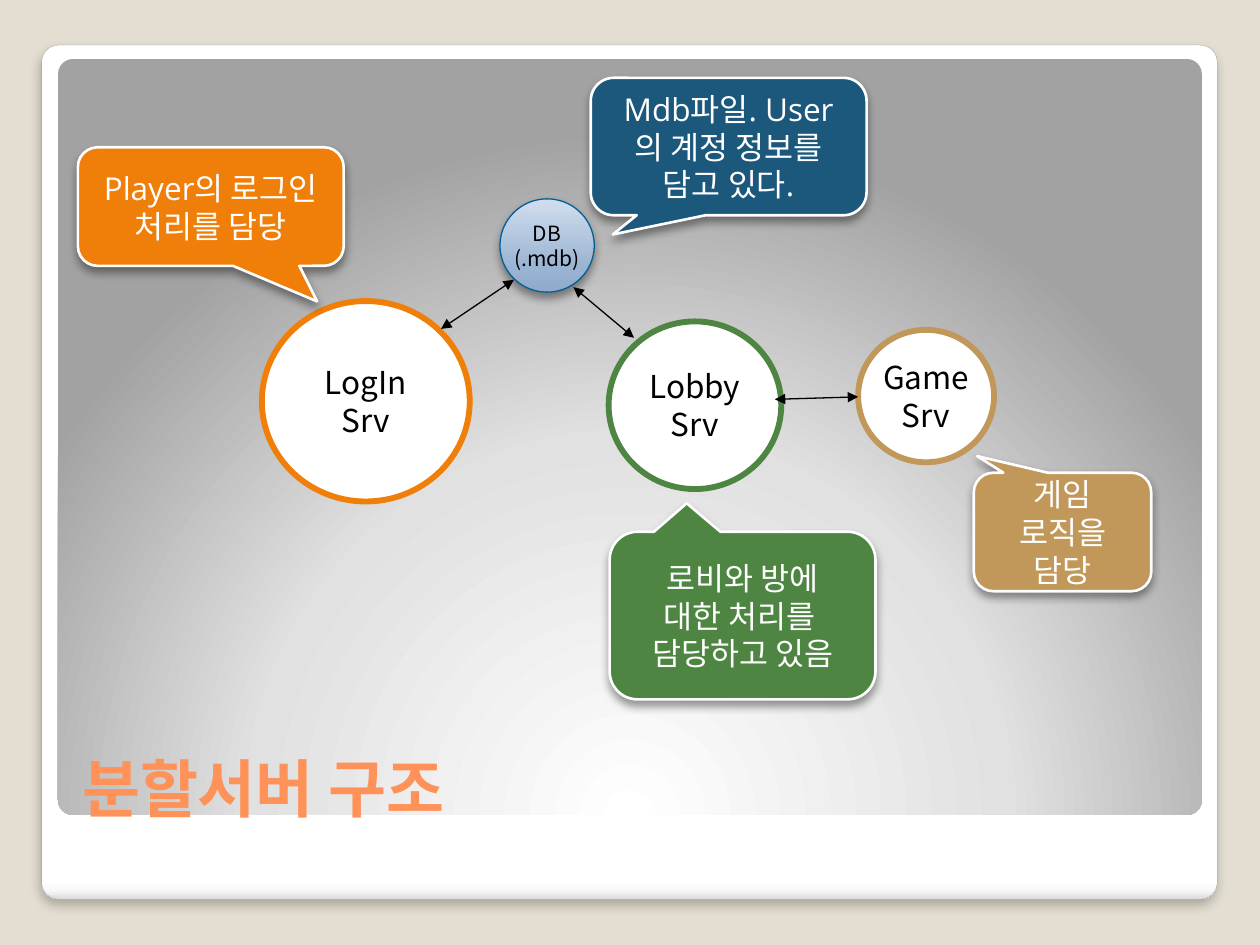
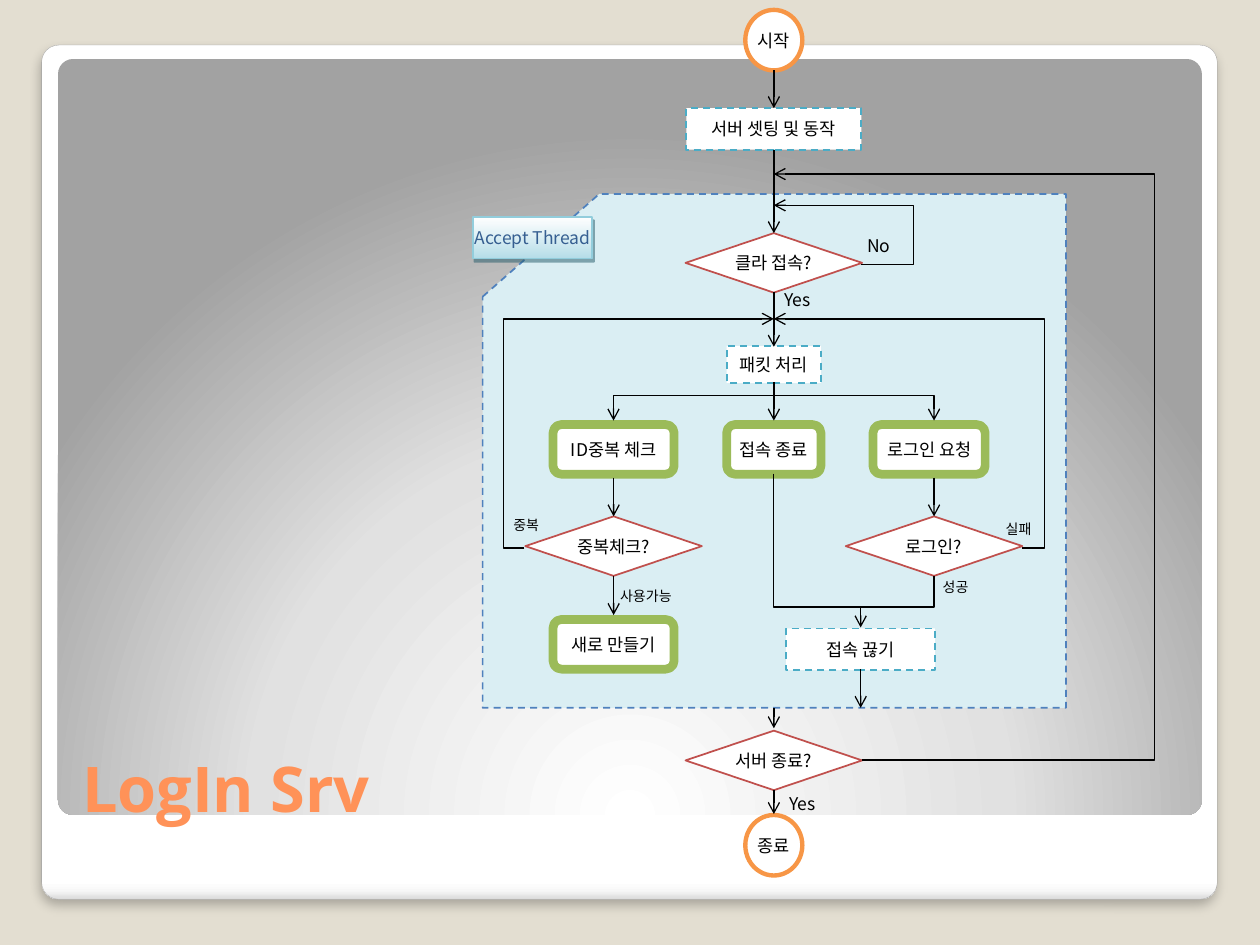
from dataclasses import dataclass

from lxml import etree
from pptx import Presentation
from pptx.dml.color import RGBColor
from pptx.enum.dml import MSO_LINE
from pptx.enum.shapes import MSO_CONNECTOR, MSO_SHAPE
from pptx.enum.text import MSO_ANCHOR, PP_ALIGN
from pptx.oxml.ns import qn
from pptx.util import Cm, Pt

ROUNDED, ELLIPSE = MSO_SHAPE.ROUNDED_RECTANGLE, MSO_SHAPE.OVAL
RECTANGLE, DIAMOND = MSO_SHAPE.RECTANGLE, MSO_SHAPE.DIAMOND
CALLOUT = MSO_SHAPE.ROUNDED_RECTANGULAR_CALLOUT
CARD, PROCESS = MSO_SHAPE.FLOWCHART_CARD, MSO_SHAPE.FLOWCHART_PROCESS
STRAIGHT, ELBOW = MSO_CONNECTOR.STRAIGHT, MSO_CONNECTOR.ELBOW
LEFT, CENTER = PP_ALIGN.LEFT, PP_ALIGN.CENTER
MIDDLE, BOTTOM = MSO_ANCHOR.MIDDLE, MSO_ANCHOR.BOTTOM
DASH = MSO_LINE.DASH
TITLE_ONLY = 5


@dataclass(frozen=True)
class Theme:
    """Colours, fonts and type sizes of the presentation."""
    heading: str = "Open Sans"
    body: str = "Noto Sans CJK KR"
    title_size: int = 36
    large: int = 18
    medium: int = 12
    small: int = 10
    tiny: int = 8
    backdrop: str = "E3DED1"
    title: str = "FF9258"
    ink: str = "000000"
    paper: str = "FFFFFF"
    frame_line: str = "A4A4A4"
    orange: str = "F07F09"
    green: str = "4E8542"
    tan: str = "C19859"
    navy: str = "1B587C"
    database: str = "035E94"
    terminal: str = "F79646"
    step: str = "4BACC6"
    decision: str = "C0504D"
    action: str = "9BBB59"
    thread: str = "DAEEF3"
    thread_line: str = "4F81BD"
    tag_line: str = "92CDDC"
    tag_text: str = "365F91"
    soft_shadow: tuple = ("000000", 25, 6, 4, 90)
    shadow: tuple = ("000000", 40, 5.2, 3, 90)
    tag_shadow: tuple = ("205867", 50, 0, 2.2, 63)
    frame_stops: tuple = ((0, "FFFFFF"), (98, "FFFFFF"), (99, "F7F7F7"), (100, "DADADA"))
    panel_stops: tuple = ((0, "FFFFFF"), (55, "E1E1E1"), (100, "A2A2A2"))
    database_stops: tuple = ((0, "90ABCB"), (25, "99B3D2"), (100, "D1DEEE"))
    tag_stops: tuple = ((0, "FFFFFF"), (100, "B6DDE8"))


@dataclass(frozen=True)
class Box:
    """A region in centimetres whose parts are placed from its corner."""
    left: float
    top: float
    width: float
    height: float

    def point(self, x, y):
        """Return a point of the region as slide lengths."""
        return Cm(self.left + x), Cm(self.top + y)

    def area(self, x, y, width, height):
        """Return a rectangle of the region as slide lengths."""
        return *self.point(x, y), Cm(width), Cm(height)

    def around(self, x, y, width, height):
        """Return a rectangle centred on a point of the region."""
        return self.area(x - width / 2, y - height / 2, width, height)


THEME = Theme()
FRAME = Box(0.84, 0.91, 23.7, 17.22)
PANEL = Box(1.17, 1.19, 23.06, 15.24)
TITLE = Box(1.4, 13.84, 22.73, 2.92)
FLOW = Box(9.7, 0.2, 13.6, 17.45)
NO_MARGINS = {f"margin_{side}": 0 for side in ("left", "right", "top", "bottom")}


def add_xml(parent, tag, **values):
    """Append an XML element and return it."""
    return etree.SubElement(parent, qn(tag), {k: str(v) for k, v in values.items()})


def apply_format(target, values):
    """Set each named attribute on the target."""
    for name, value in values.items():
        setattr(target, name, value)


def fill_gradient(shape, stops, angle=None):
    """Fill with a linear gradient, or one radiating from below."""
    shape.fill.gradient()
    gradient = shape.element.spPr.find(qn("a:gradFill"))
    gradient.clear()
    stop_list = add_xml(gradient, "a:gsLst")
    for position, color in stops:
        stop = add_xml(stop_list, "a:gs", pos=position * 1000)
        add_xml(stop, "a:srgbClr", val=color)
    if angle is None:
        circle = add_xml(gradient, "a:path", path="circle")
        add_xml(circle, "a:fillToRect", l=50000, t=175000, r=50000, b=-75000)
    else:
        add_xml(gradient, "a:lin", ang=angle * 60000, scaled=0)


def cast_shadow(shape, color, alpha, blur, distance, direction):
    """Add an outer shadow to a shape."""
    effects = shape.element.spPr.find(qn("a:effectLst"))
    outer = add_xml(effects, "a:outerShdw", blurRad=Pt(blur), dist=Pt(distance),
                    dir=direction * 60000, algn="ctr", rotWithShape=0)
    add_xml(add_xml(outer, "a:srgbClr", val=color), "a:alpha", val=alpha * 1000)


def write(frame, lines, size, font=THEME.body, color=THEME.ink, align=CENTER,
          anchor=MIDDLE, bold=False, margins=NO_MARGINS):
    """Write lines as paragraphs of one format."""
    apply_format(frame, {"word_wrap": True, "vertical_anchor": anchor, **margins})
    for index, line in enumerate(lines):
        paragraph = frame.add_paragraph() if index else frame.paragraphs[0]
        paragraph.alignment = align
        run = paragraph.add_run()
        run.text = line
        apply_format(run.font, {"size": Pt(size), "bold": bold, "name": font})
        run.font.color.rgb = RGBColor.from_string(color)
        add_xml(run.font._element, "a:ea", typeface=THEME.body)


def draw_shape(shapes, kind, area, fill=None, line=None, weight=1, dash=None,
               stops=None, angle=None, shadow=None, adjust=()):
    """Draw a preset shape with its fill, line and shadow."""
    shape = shapes.add_shape(kind, *area)
    shape.shadow.inherit = False
    if stops:
        fill_gradient(shape, stops, angle)
    else:
        shape.fill.solid()
        shape.fill.fore_color.rgb = RGBColor.from_string(fill)
    if line:
        shape.line.color.rgb = RGBColor.from_string(line)
        apply_format(shape.line, {"width": Pt(weight), "dash_style": dash})
    else:
        shape.line.fill.background()
    if shadow:
        cast_shadow(shape, *shadow)
    for index, value in enumerate(adjust):
        shape.adjustments[index] = value
    return shape


def draw_line(shapes, box, start, end, head=None, tail="arrow", turn=None):
    """Draw a straight line, or an elbow whose upright stands at turn."""
    kind = STRAIGHT if turn is None else ELBOW
    line = shapes.add_connector(kind, *box.point(*start), *box.point(*end))
    line.line.color.rgb = RGBColor.from_string(THEME.ink)
    line.line.width = Pt(0.75)
    properties = line.element.spPr
    for tag, arrow in (("a:headEnd", head), ("a:tailEnd", tail)):
        if arrow:
            add_xml(properties.find(qn("a:ln")), tag, type=arrow)
    add_xml(properties, "a:effectLst")
    if turn is not None:
        share = round((turn - start[0]) / (end[0] - start[0]) * 100000)
        guides = properties.find(qn("a:prstGeom")).find(qn("a:avLst"))
        add_xml(guides, "a:gd", name="adj1", fmla=f"val {share}")


def build_backdrop(presentation, slide):
    """Give the layout its background, frame and panel."""
    background = presentation.slide_master.background.fill
    background.solid()
    background.fore_color.rgb = RGBColor.from_string(THEME.backdrop)
    frame = draw_shape(slide.shapes, ROUNDED, FRAME.area(0, 0, FRAME.width, FRAME.height),
                       line=THEME.frame_line, weight=0.16, stops=THEME.frame_stops,
                       angle=90, shadow=THEME.soft_shadow, adjust=[0.02])
    panel = draw_shape(slide.shapes, ROUNDED, PANEL.area(0, 0, PANEL.width, PANEL.height),
                       stops=THEME.panel_stops, adjust=[0.02])
    for index, shape in enumerate((frame, panel), start=2):
        slide.slide_layout.shapes.element.insert(index, shape.element)


def place_title(slide, text, box):
    """Move and format the title placeholder."""
    title = slide.shapes.title
    area = box.area(0, 0, box.width, box.height)
    apply_format(title, dict(zip(("left", "top", "width", "height"), area)))
    write(title.text_frame, [text], THEME.title_size, THEME.heading, THEME.title,
          align=LEFT, anchor=BOTTOM, bold=True, margins={})


def draw_servers(slide, box):
    """Draw the servers, the database, their links and callouts."""
    shapes = slide.shapes
    for name, color, area in (
        ("Lobby", THEME.green, (11.1, 5.29, 3.48, 3.38)),
        ("Game", THEME.tan, (16.13, 5.46, 2.74, 2.67)),
        ("LogIn", THEME.orange, (4.11, 4.88, 4.19, 4.04)),
    ):
        server = draw_shape(shapes, ELLIPSE, box.area(*area), THEME.paper, color, 3.35)
        write(server.text_frame, [name, "Srv"], THEME.large)
    database = draw_shape(shapes, ELLIPSE, box.area(8.91, 2.82, 1.9, 1.88),
                          line=THEME.database, weight=0.75, stops=THEME.database_stops,
                          angle=270, shadow=THEME.shadow)
    write(database.text_frame, ["DB", "(.mdb)"], THEME.medium)
    for start, end in (((14.45, 6.86), (16.13, 6.81)), ((7.72, 5.44), (9.19, 4.45)),
                       ((10.39, 4.6), (11.61, 5.62))):
        draw_line(shapes, box, start, end, head="triangle", tail="triangle")
    for lines, color, area, pointer in (
        (["Mdb파일. User의 계정 정보를 담고 있다."], THEME.navy,
         (10.74, 0.38, 5.56, 2.77), (-0.42, 0.64)),
        (["Player의 로그인 처리를 담당"], THEME.orange,
         (0.4, 1.78, 5.36, 2.39), (0.4, 0.8)),
        (["로비와 방에", "대한 처리를 ", "담당하고 있음"], THEME.green,
         (11.12, 9.53, 5.36, 3.38), (-0.21, -0.67)),
        (["게임 로직을 담당"], THEME.tan, (18.46, 8.34, 3.58, 2.39), (-0.48, -0.64)),
    ):
        callout = draw_shape(shapes, CALLOUT, box.area(*area), color, THEME.paper, 1.5,
                             shadow=THEME.shadow, adjust=pointer)
        write(callout.text_frame, lines, THEME.large, THEME.heading, THEME.paper, margins={})


def draw_flow(slide, box):
    """Draw the login flowchart in three evenly spaced columns."""
    shapes = slide.shapes.add_group_shape().shapes
    left, middle, right = (5.9 + 3.23 * step for step in (-1, 0, 1))
    closing, loop = 7.65, 13.57
    draw_shape(shapes, CARD, box.area(0.03, 3.71, 11.76, 10.36), THEME.thread,
               THEME.thread_line, dash=DASH)
    terminal = (ELLIPSE, THEME.terminal, 2.5, None, 1.22)
    step = (RECTANGLE, THEME.step, 1, DASH, 0.84)
    packet = (RECTANGLE, THEME.step, 1, DASH, 0.74)
    decision = (DIAMOND, THEME.decision, 1, None, 1.2)
    action = (ROUNDED, THEME.action, 5, None, 1)
    for (kind, color, weight, dash, height), text, x, y, width in (
        (terminal, "시작", middle, 0.61, 1.15),
        (step, "서버 셋팅 및 동작", middle, 2.4, 3.53),
        (decision, "서버 종료?", middle, 15.13, 3.56),
        (terminal, "종료", middle, 16.84, 1.15),
        (decision, "클라 접속?", middle, 5.1, 3.56),
        (packet, "패킷 처리", middle, 7.15, 1.9),
        (decision, "로그인?", right, 10.81, 3.56),
        (decision, "중복체크?", left, 10.81, 3.56),
        (action, "로그인 요청", right - 0.1, 8.86, 2.26),
        (action, "접속 종료", middle, 8.86, 1.9),
        (action, "ID중복 체크", left, 8.86, 2.44),
        (action, "새로 만들기", left, 12.79, 2.44),
        (step, "접속 끊기", closing, 12.89, 3),
    ):
        node = draw_shape(shapes, kind, box.around(x, y, width, height), THEME.paper,
                          color, weight, dash)
        write(node.text_frame, [text], THEME.small)
    for x, top, bottom in (
        (middle, 1.22, 1.98), (middle, 2.82, 4.5), (middle, 5.69, 6.79),
        (middle, 7.5, 8.28), (middle, 14.07, 14.48), (middle, 15.73, 16.21),
        (left, 9.43, 10.21), (right, 9.43, 10.21), (left, 11.41, 12.2),
        (closing, 12.04, 12.45), (closing, 13.29, 14.07),
    ):
        draw_line(shapes, box, (x, top), (x, bottom))
    for start, turn, end, tail in (
        ((7.67, 15.12), loop, (loop, 6.96), None),
        ((loop, 6.96), loop, (middle, 3.31), "arrow"),
        ((middle, 7.78), left, (left, 8.28), "arrow"),
        ((middle, 7.78), right, (right, 8.28), "arrow"),
        ((right, 11.41), right, (closing, 12.04), None),
        ((middle, 9.35), middle, (closing, 12.04), None),
        ((10.9, 10.85), 11.36, (middle, 6.23), "arrow"),
        ((0.87, 10.85), 0.46, (middle, 6.23), "arrow"),
        ((closing, 5.13), 8.72, (middle, 3.94), "arrow"),
    ):
        draw_line(shapes, box, start, end, tail=tail, turn=turn)
    for text, area, size, align in (
        ("Yes", (6.12, 15.75, 0.71, 0.48), THEME.small, CENTER),
        ("Yes", (6.02, 5.59, 0.71, 0.48), THEME.small, CENTER),
        ("No", (7.78, 4.5, 0.71, 0.48), THEME.small, LEFT),
        ("사용가능", (2.8, 11.59, 1.22, 0.46), THEME.tiny, LEFT),
        ("중복", (0.61, 10.09, 0.6, 0.6), THEME.tiny, CENTER),
        ("성공", (9.12, 11.41, 0.89, 0.46), THEME.tiny, CENTER),
        ("실패", (10.39, 10.24, 0.89, 0.46), THEME.tiny, CENTER),
    ):
        label = shapes.add_textbox(*box.area(*area))
        write(label.text_frame, [text], size, align=align)
    tag = draw_shape(slide.shapes, PROCESS, box.area(-0.17, 4.17, 2.41, 0.84),
                     line=THEME.tag_line, stops=THEME.tag_stops, angle=90,
                     shadow=THEME.tag_shadow)
    write(tag.text_frame, ["Accept Thread"], THEME.small, color=THEME.tag_text)


def main():
    """Build and save the presentation."""
    presentation = Presentation()
    presentation.slide_width, presentation.slide_height = Cm(25.4), Cm(19.05)
    layout = presentation.slide_layouts[TITLE_ONLY]
    pages = (("분할서버 구조", draw_servers, PANEL), ("LogIn Srv", draw_flow, FLOW))
    for index, (title, draw, box) in enumerate(pages):
        slide = presentation.slides.add_slide(layout)
        if index == 0:
            build_backdrop(presentation, slide)
        place_title(slide, title, TITLE)
        draw(slide, box)
    presentation.save("out.pptx")


main()
